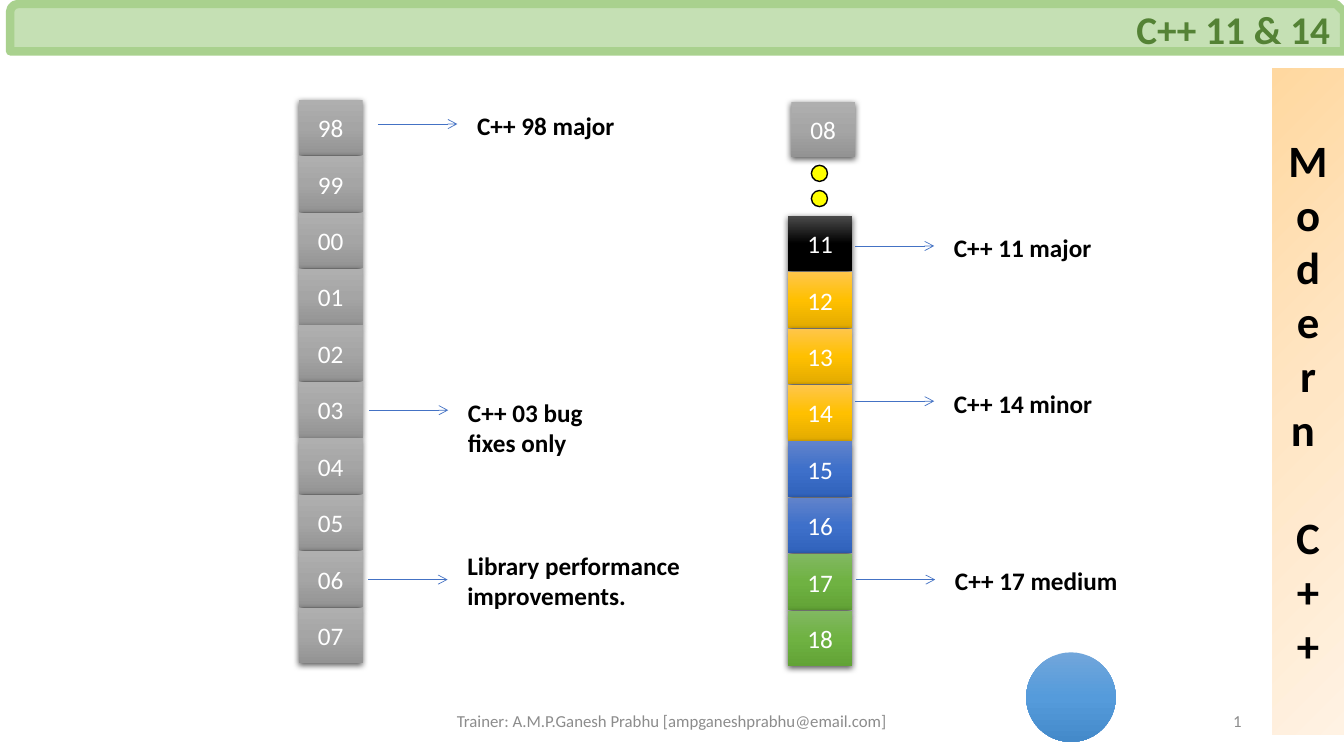
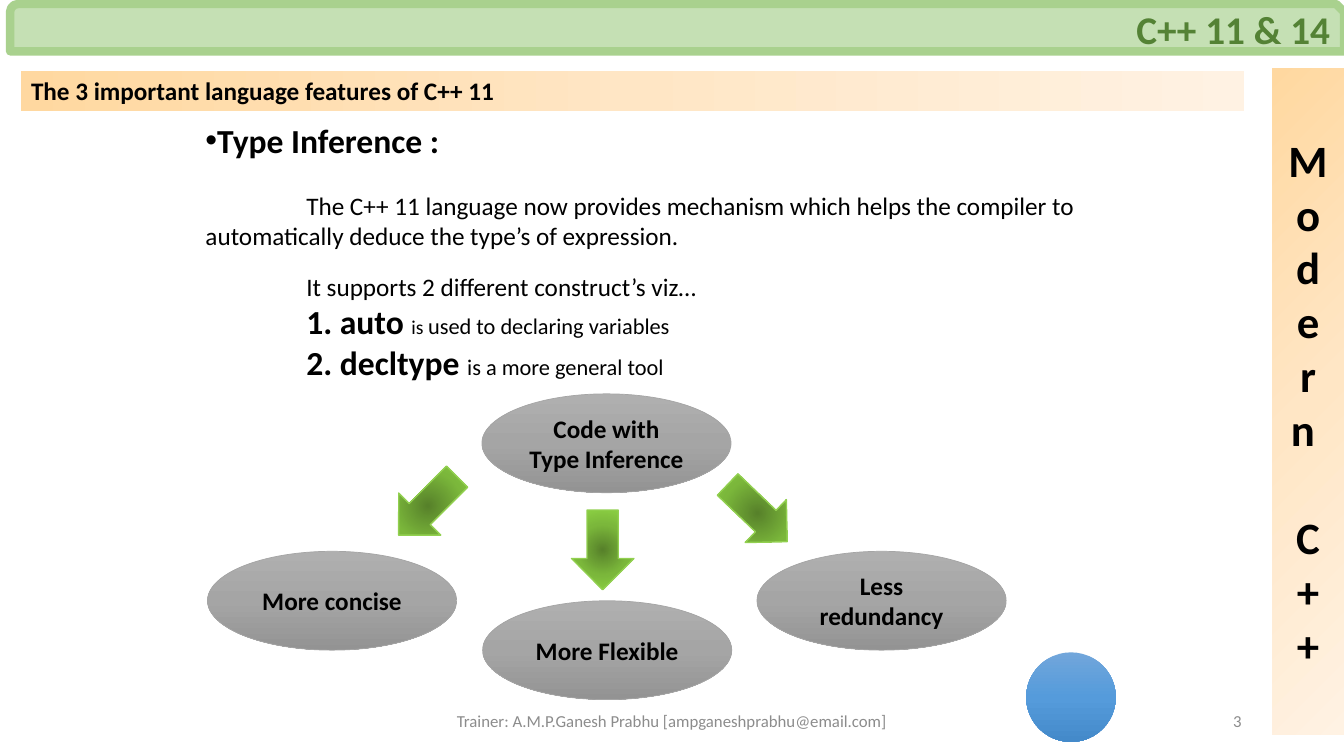
"""Build two slides on the C++ release timeline and type inference."""
from dataclasses import dataclass

from pptx import Presentation
from pptx.dml.color import RGBColor
from pptx.enum.shapes import MSO_CONNECTOR, MSO_SHAPE
from pptx.enum.text import MSO_ANCHOR, MSO_AUTO_SIZE, PP_ALIGN
from pptx.oxml import parse_xml
from pptx.oxml.ns import nsdecls, qn
from pptx.util import Pt


@dataclass(frozen=True)
class Theme:
    """Colours, gradients and type sizes."""
    font: str = "Calibri"
    black: str = "000000"
    white: str = "FFFFFF"
    muted: str = "8C8C8C"
    title: str = "548235"
    band: str = "C5E0B4"
    band_edge: str = "A9D18E"
    link: str = "4472C4"
    dot: str = "FFFF00"
    oval_edge: str = "A5A5A5"
    arrow_edge: str = "92D050"
    peach: tuple = ("FFD8A0", "FFE6C5", "FFF2E3")
    gray: tuple = ("AFAFAF", "A5A5A5", "939393")
    dark: tuple = ("4B4B4B", "000000", "000000")
    gold: tuple = ("FFC64B", "FFC000", "E3AB00")
    royal: tuple = ("6183CB", "3E70CA", "3062BB")
    green: tuple = ("81B861", "6FB242", "62A336")
    sky: tuple = ("71A6DB", "559BDB", "448ACA")
    leaf: tuple = ("57812A", "7BB73B", "92DA46")
    title_size: int = 28
    side_size: int = 32
    head_size: int = 24
    body_size: int = 18
    note_size: int = 16
    small_size: int = 14
    foot_size: int = 12


T = Theme()
DOWN, ACROSS = '<a:lin ang="5400000" scaled="0"/>', '<a:lin ang="0" scaled="0"/>'
RADIAL = '<a:path path="circle"><a:fillToRect l="{0}" t="{0}" r="{1}" b="{1}"/></a:path>'
CORNER, CENTER = RADIAL.format(0, 100000), RADIAL.format(50000, 50000)

TITLE = "C++ 11 & 14"
SIDE_LETTERS = ["M", "o", "d", "e", "r", "n ", "C", "+", "+"]
TRAINER = "Trainer: A.M.P.Ganesh Prabhu [ampganeshprabhu@email.com]"

YEAR_W, YEAR_H, YEAR_STEP = 45.5, 39.8, 40.3
YEAR_COLUMNS = [
    (213.5, 71.3, [(y, T.gray) for y in
                   ("98", "99", "00", "01", "02", "03", "04", "05", "06", "07")]),
    (565.2, 72.7, [("08", T.gray)]),
    (563, 154.1, [("11", T.dark), ("12", T.gold), ("13", T.gold), ("14", T.gold),
                  ("15", T.royal), ("16", T.royal), ("17", T.green), ("18", T.green)]),
]
DOT_X, DOT_TOPS, DOT_SIZE = 579.6, (118.1, 136.1), 11.5
LINK_LEN, LABEL_GAP = 56.7, 7
CALLOUTS = [
    ("C++ 98 major", 270, 88.6, 13.5, 130),
    ("C++ 03 bug fixes only", 263.5, 293, 13, 130),
    ("Library performance improvements.", 263, 414, 24.5, 170),
    ("C++ 11 major", 610.6, 175.7, 13.5, 130),
    ("C++ 14 minor", 610.6, 286.6, 13, 130),
    ("C++ 17 medium", 611.3, 414, 13.5, 140),
]

STRIP = "The 3 important language features of C++ 11"
BODY = [
    (0, 0, [("Type Inference :", T.head_size, True)]),
    (21.5, 72, [("The C++ 11 language now provides mechanism which helps the compiler to "
                 "automatically deduce the type’s of expression.", T.body_size, False)]),
    (14.5, 72, [("It supports 2 different construct’s viz…", T.body_size, False)]),
    (0, 72, [("1. auto ", T.head_size, True), ("is ", T.small_size, False),
             ("used to declaring variables", T.note_size, False)]),
    (0, 72, [("2. decltype ", T.head_size, True),
             ("is a more general tool", T.note_size, False)]),
]
OVAL_W, OVAL_H = 178, 70.6
OVALS = [
    ("Code with Type Inference", 433.2, 281.3),
    ("More concise", 237.2, 393.8),
    ("More Flexible", 433.7, 429.1),
    ("Less redundancy", 629.7, 393.8),
]
ARROWS = [
    ((284.4, 331.9, 42.5, 59), 45),
    ((408.2, 364.3, 44.6, 56.9), 0),
    ((519.8, 337, 42.5, 59), 313.8),
]


def rgb(color):
    """Turn a hex string into a colour."""
    return RGBColor.from_string(color)


def box_pt(box):
    """Turn left, top, width and height into lengths."""
    return [Pt(v) for v in box]


def style_run(r, size, color, bold):
    """Set the font of one run."""
    r.font.name, r.font.size, r.font.bold = T.font, Pt(size), bold
    r.font.color.rgb = rgb(color)


def set_text(sp, lines, size, color=T.black, bold=False, align=PP_ALIGN.CENTER,
             anchor=MSO_ANCHOR.MIDDLE):
    """Write one paragraph per line into a shape."""
    tf = sp.text_frame
    tf.word_wrap, tf.auto_size, tf.vertical_anchor = True, MSO_AUTO_SIZE.NONE, anchor
    tf.text = "\n".join(lines)
    for p in tf.paragraphs:
        p.alignment = align
        for r in p.runs:
            style_run(r, size, color, bold)
    return tf


def add_text(shapes, box, text, size, **style):
    """Add a text box with one paragraph."""
    return set_text(shapes.add_textbox(*box_pt(box)), [text], size, **style)


def paint(sp, fill, line=None, width=1, flow=DOWN):
    """Give a shape a solid or three-stop fill and an optional line."""
    if isinstance(fill, tuple):
        sp.fill.gradient()
        stops = "".join(
            f'<a:gs pos="{i * 50000}"><a:srgbClr val="{c}"/></a:gs>'
            for i, c in enumerate(fill))
        spPr = sp._element.spPr
        spPr.replace(spPr.find(qn("a:gradFill")), parse_xml(
            f'<a:gradFill {nsdecls("a")} rotWithShape="1">'
            f'<a:gsLst>{stops}</a:gsLst>{flow}</a:gradFill>'))
    else:
        sp.fill.solid()
        sp.fill.fore_color.rgb = rgb(fill)
    if line:
        sp.line.color.rgb = rgb(line)
        sp.line.width = Pt(width)
    else:
        sp.line.fill.background()


def add_shape(shapes, kind, box, fill, **look):
    """Add a painted shape without a shadow."""
    sp = shapes.add_shape(kind, *box_pt(box))
    sp.shadow.inherit = False
    paint(sp, fill, **look)
    return sp


def add_shadow(sp):
    """Put a soft shadow below a shape."""
    sp._element.spPr.find(qn("a:effectLst")).append(parse_xml(
        f'<a:outerShdw {nsdecls("a")} blurRad="57150" dist="19050" dir="5400000" '
        'algn="ctr" rotWithShape="0"><a:srgbClr val="000000">'
        '<a:alpha val="63000"/></a:srgbClr></a:outerShdw>'))


def add_link(shapes, x, y):
    """Add a thin horizontal arrow."""
    ln = shapes.add_connector(MSO_CONNECTOR.STRAIGHT, Pt(x), Pt(y), Pt(x + LINK_LEN), Pt(y))
    ln.line.color.rgb = rgb(T.link)
    ln.line.width = Pt(0.5)
    ln.line._get_or_add_ln().append(parse_xml(f'<a:tailEnd {nsdecls("a")} type="arrow"/>'))
    ln._element.spPr.append(parse_xml(f'<a:effectLst {nsdecls("a")}/>'))


def new_slide(prs, number):
    """Add a slide with title band, side bar, plain disc and footer."""
    s = prs.slides.add_slide(prs.slide_layouts[5])
    title = s.shapes.title
    title.left, title.top, title.width, title.height = box_pt((7.2, 3.5, 950, 33.8))
    set_text(title, [TITLE], T.title_size, T.title, True, PP_ALIGN.RIGHT)
    band = add_shape(s.shapes, MSO_SHAPE.SNIP_ROUND_RECTANGLE, (7.2, 2.9, 952.8, 33.8),
                     T.band, line=T.band_edge, width=6)
    title._element.addprevious(band._element)

    side = add_shape(s.shapes, MSO_SHAPE.RECTANGLE, (908.8, 49, 51.2, 476), T.peach, flow=CORNER)
    tf = set_text(side, SIDE_LETTERS, T.side_size, bold=True)
    tf.paragraphs[SIDE_LETTERS.index("C")].space_before = Pt(39)

    add_shape(s.shapes, MSO_SHAPE.OVAL, (733, 466, 64, 64), T.sky)
    add_text(s.shapes, (318, 500.4, 324, 28.8), TRAINER, T.foot_size, color=T.muted)
    add_text(s.shapes, (678, 500.4, 216, 28.8), number, T.foot_size, color=T.muted,
             align=PP_ALIGN.RIGHT)
    return s


def timeline_slide(prs):
    """Build the column of years with its callouts."""
    shapes = new_slide(prs, "1").shapes
    for left, top, years in YEAR_COLUMNS:
        for i, (year, fill) in enumerate(years):
            sp = add_shape(shapes, MSO_SHAPE.RECTANGLE,
                           (left, top + i * YEAR_STEP, YEAR_W, YEAR_H), fill)
            add_shadow(sp)
            set_text(sp, [year], T.body_size, T.white)
    for top in DOT_TOPS:
        add_shape(shapes, MSO_SHAPE.FLOWCHART_CONNECTOR, (DOT_X, top, DOT_SIZE, DOT_SIZE),
                  T.dot, line=T.black)
    for label, x, y, rise, width in CALLOUTS:
        add_link(shapes, x, y)
        add_text(shapes, (x + LINK_LEN + LABEL_GAP, y - rise, width, 2 * rise + 2), label,
                 T.body_size, bold=True, align=PP_ALIGN.LEFT, anchor=MSO_ANCHOR.TOP)


def add_body(shapes):
    """Write the explanation of type inference."""
    tf = shapes.add_textbox(*box_pt((139.7, 82.1, 663, 196.6))).text_frame
    tf.word_wrap = True
    for i, (before, indent, runs) in enumerate(BODY):
        p = tf.paragraphs[0] if i == 0 else tf.add_paragraph()
        p.space_before = Pt(before)
        pPr = p._p.get_or_add_pPr()
        pPr.set("marL", "0")
        pPr.set("indent", str(Pt(indent)))
        if not indent:
            pPr.append(parse_xml(f'<a:buFont {nsdecls("a")} typeface="Arial"/>'))
            pPr.append(parse_xml(f'<a:buChar {nsdecls("a")} char="•"/>'))
        for text, size, bold in runs:
            r = p.add_run()
            r.text = text
            style_run(r, size, T.black, bold)


def inference_slide(prs):
    """Build the type inference text and its diagram."""
    shapes = new_slide(prs, "3").shapes
    strip = add_shape(shapes, MSO_SHAPE.RECTANGLE, (15.1, 50.4, 873.4, 28.8), T.peach, flow=ACROSS)
    set_text(strip, [STRIP], T.body_size, bold=True, align=PP_ALIGN.LEFT, anchor=MSO_ANCHOR.TOP)
    add_body(shapes)
    for label, center, top in OVALS:
        sp = add_shape(shapes, MSO_SHAPE.OVAL, (center - OVAL_W / 2, top, OVAL_W, OVAL_H),
                       T.gray, line=T.oval_edge, width=0.5)
        set_text(sp, [label], T.body_size, bold=True)
    for box, turn in ARROWS:
        add_shape(shapes, MSO_SHAPE.DOWN_ARROW, box, T.leaf, line=T.arrow_edge,
                  flow=CENTER).rotation = turn


def main():
    """Build and save the deck."""
    prs = Presentation()
    prs.slide_width, prs.slide_height = Pt(960), Pt(540)
    timeline_slide(prs)
    inference_slide(prs)
    prs.save("out.pptx")


if __name__ == "__main__":
    main()
